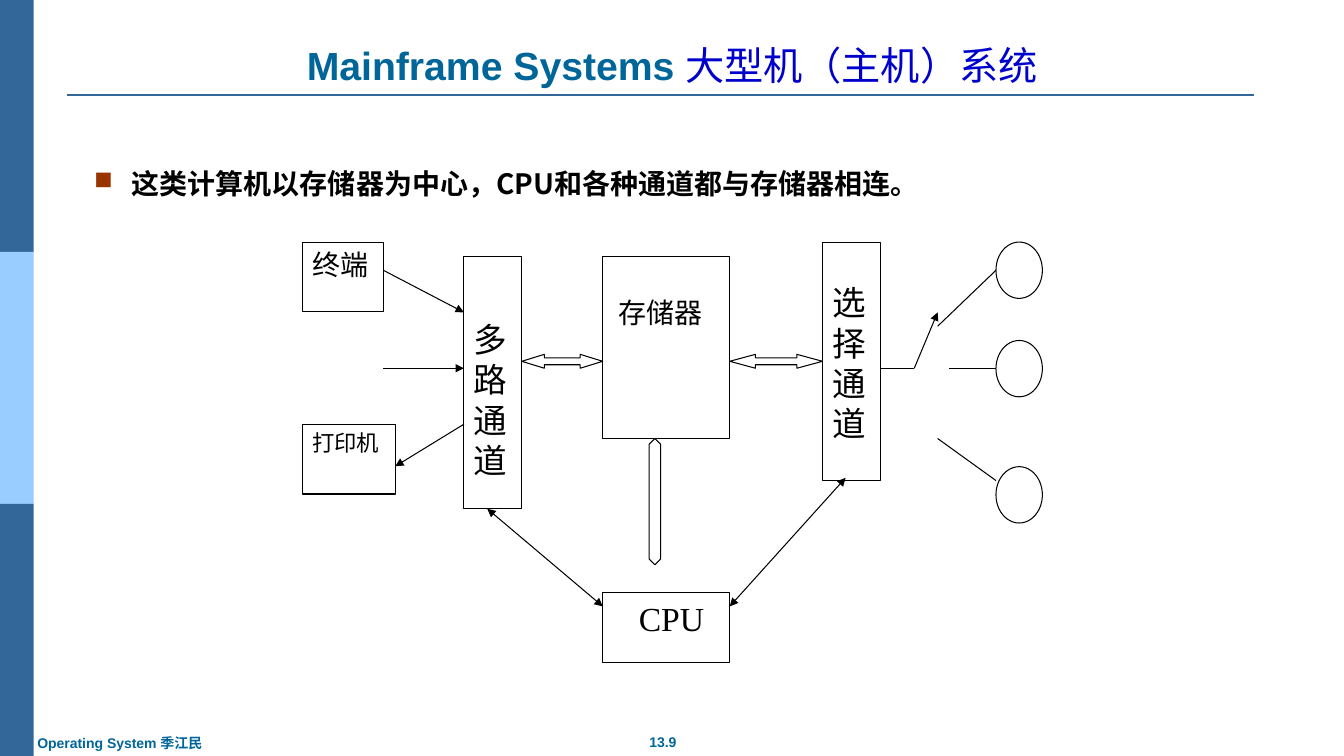
"""Build the slide on mainframe systems and their channels."""
import pptx
import pptx.util
import pptx.dml.color
import pptx.enum.shapes
import pptx.enum.text
import pptx.oxml.ns
import lxml.etree

Cm, Pt = pptx.util.Cm, pptx.util.Pt
RGB = pptx.dml.color.RGBColor
KIND = pptx.enum.shapes.MSO_SHAPE
LINK = pptx.enum.shapes.MSO_CONNECTOR
ALIGN = pptx.enum.text.PP_ALIGN
ANCHOR = pptx.enum.text.MSO_ANCHOR
qn = pptx.oxml.ns.qn

BLACK, WHITE = RGB(0, 0, 0), RGB(255, 255, 255)
STEEL, SKY = RGB(0x33, 0x66, 0x99), RGB(0x99, 0xCC, 0xFF)
TEAL, BLUE = RGB(0, 0x66, 0x99), RGB(0, 0, 0xCC)
SANS, SERIF, HAN = "Arial", "Times New Roman", "Noto Sans CJK SC"

TITLE = [("Mainframe Systems ", TEAL, True), ("大型机（主机）系统", BLUE, False)]
POINT = "这类计算机以存储器为中心，CPU和各种通道都与存储器相连。"
FOOT, PAGE = "Operating System 季江民", "13.9"

# text, place (left, top, width, height), size, left inset, top inset
BOXES = [
    ("终端", (7.62, 6.1, 2.04, 1.76), 20, 0.25, 0.13),
    ("打印机", (7.62, 10.69, 2.34, 1.76), 16, 0.25, 0.13),
    ("多路通道", (11.69, 6.46, 1.45, 6.36), 24, 0.25, 1.58),
    ("存储器", (15.19, 6.46, 3.2, 4.58), 20, 0.4, 0.98),
    ("CPU", (15.19, 14.93, 3.2, 1.76), 24, 0.91, 0.13),
    ("选择通道", (20.73, 6.1, 1.45, 6), 24, 0.25, 1.01),
]
DISKS = [6.1, 8.58, 11.76]
BUSES = [
    (KIND.LEFT_RIGHT_ARROW, (13.15, 8.93, 2.04, 0.35), 1.62),
    (KIND.LEFT_RIGHT_ARROW, (18.39, 8.93, 2.34, 0.35), 1.85),
    (KIND.UP_DOWN_ARROW, (16.36, 11.05, 0.29, 3.18), 1.56),
]
PLAIN, END, BOTH = (), ("tailEnd",), ("headEnd", "tailEnd")
WIRES = [
    ((9.66, 6.81, 11.69, 7.87), END),
    ((9.66, 9.28, 11.69, 9.28), END),
    ((11.69, 10.69, 9.96, 11.75), END),
    ((23.63, 8.22, 25.1, 6.81), PLAIN),
    ((23.92, 9.28, 25.1, 9.28), PLAIN),
    ((23.63, 11.05, 25.1, 12.11), PLAIN),
    ((22.18, 9.28, 23.04, 9.28), PLAIN),
    ((23.04, 9.28, 23.63, 7.87), END),
    ((15.19, 15.28, 12.28, 12.82), BOTH),
    ((21.31, 12.04, 18.39, 15.28), BOTH),
]


def cms(place):
    return [Cm(n) for n in place]


def style(para, size, face, color, bold=False, han=None):
    font = para.font
    font.size, font.name, font.bold = Pt(size), face, bold
    font.color.rgb = color
    if han:
        latin = font._element.find(qn("a:latin"))
        ea = lxml.etree.Element(qn("a:ea"), typeface=han)
        latin.addnext(ea)


def shape(kind, place, fill, edge=None):
    form = slide.shapes.add_shape(kind, *cms(place))
    form.shadow.inherit = False
    form.fill.solid()
    form.fill.fore_color.rgb = fill
    if edge is None:
        form.line.fill.background()
    else:
        form.line.color.rgb = edge
        form.line.width = Pt(0.75)
    return form


def wire(ends, color, width, heads=PLAIN):
    link = slide.shapes.add_connector(LINK.STRAIGHT, *cms(ends))
    link.line.color.rgb = color
    link.line.width = Pt(width)
    for head in heads:
        lxml.etree.SubElement(link.line._get_or_add_ln(), qn("a:" + head), type="triangle")
    lxml.etree.SubElement(link._element.spPr, qn("a:effectLst"))


def label(place, text=""):
    frame = slide.shapes.add_textbox(*cms(place)).text_frame
    frame.word_wrap = True
    para = frame.paragraphs[0]
    para.text = text
    return frame, para


deck = pptx.Presentation()
deck.slide_width, deck.slide_height = Cm(33.87), Cm(19.05)
slide = deck.slides.add_slide(deck.slide_layouts[6])

for row, color in enumerate((STEEL, SKY, STEEL)):
    shape(KIND.RECTANGLE, (0, row * 6.35, 0.85, 6.35), color)
wire((1.7, 2.4, 31.6, 2.4), STEEL, 1.5)

frame, para = label((1.7, 0.76, 30.48, 1.6))
frame.vertical_anchor = ANCHOR.BOTTOM
para.alignment = ALIGN.CENTER
style(para, 28, SANS, TEAL)
for text, color, bold in TITLE:
    run = para.add_run()
    run.text = text
    run.font.color.rgb, run.font.bold = color, bold

frame, para = label((2.12, 4.08, 30.05, 1.4), POINT)
props = para._p.get_or_add_pPr()
props.set("marL", str(Cm(0.95)))
props.set("indent", str(-Cm(0.95)))
tint = lxml.etree.SubElement(props, qn("a:buClr"))
lxml.etree.SubElement(tint, qn("a:srgbClr"), val="993300")
lxml.etree.SubElement(props, qn("a:buSzPct"), val="90000")
lxml.etree.SubElement(props, qn("a:buChar"), char="■")
style(para, 20, HAN, BLACK, True, HAN)

for text, place, side in ((PAGE, (15.88, 18.36, 1.65, 0.69), ALIGN.CENTER),
                          (FOOT, (0.69, 18.39, 6, 0.69), ALIGN.LEFT)):
    frame, para = label(place, text)
    para.alignment = side
    style(para, 10, SANS, TEAL, True, HAN)

for text, place, size, left, top in BOXES:
    frame = shape(KIND.RECTANGLE, place, WHITE, BLACK).text_frame
    frame.word_wrap = True
    frame.vertical_anchor = ANCHOR.TOP
    frame.margin_left, frame.margin_top = Cm(left), Cm(top)
    frame.margin_right = Cm(0.25)
    para = frame.paragraphs[0]
    para.text = text
    para.alignment = ALIGN.LEFT
    style(para, size, SERIF, BLACK)

for top in DISKS:
    shape(KIND.OVAL, (25.1, top, 1.17, 1.42), WHITE, BLACK)
for kind, place, tip in BUSES:
    arrow = shape(kind, place, WHITE, BLACK)
    arrow.adjustments[0], arrow.adjustments[1] = 0.5, tip
for ends, heads in WIRES:
    wire(ends, BLACK, 0.75, heads)

deck.save("out.pptx")
